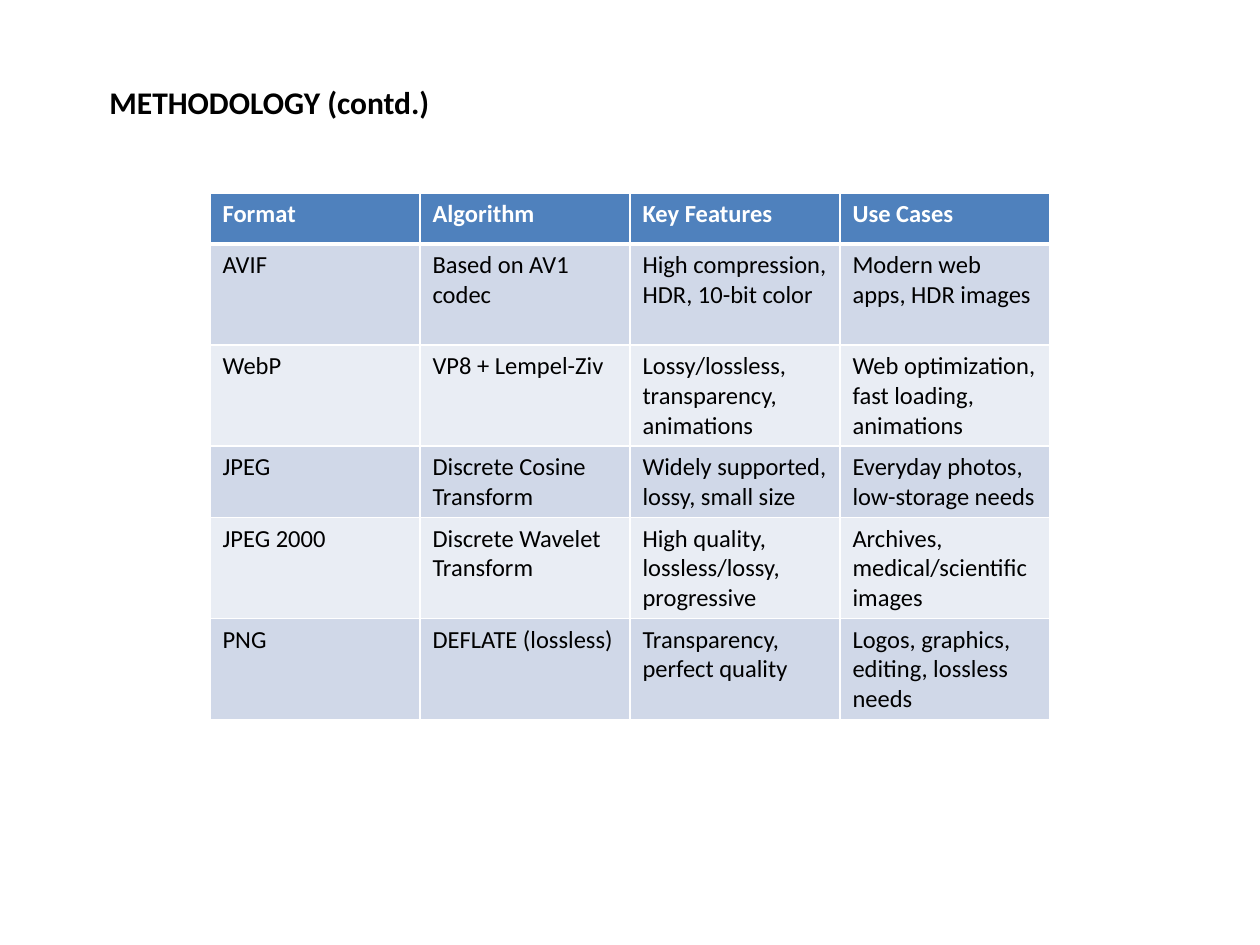
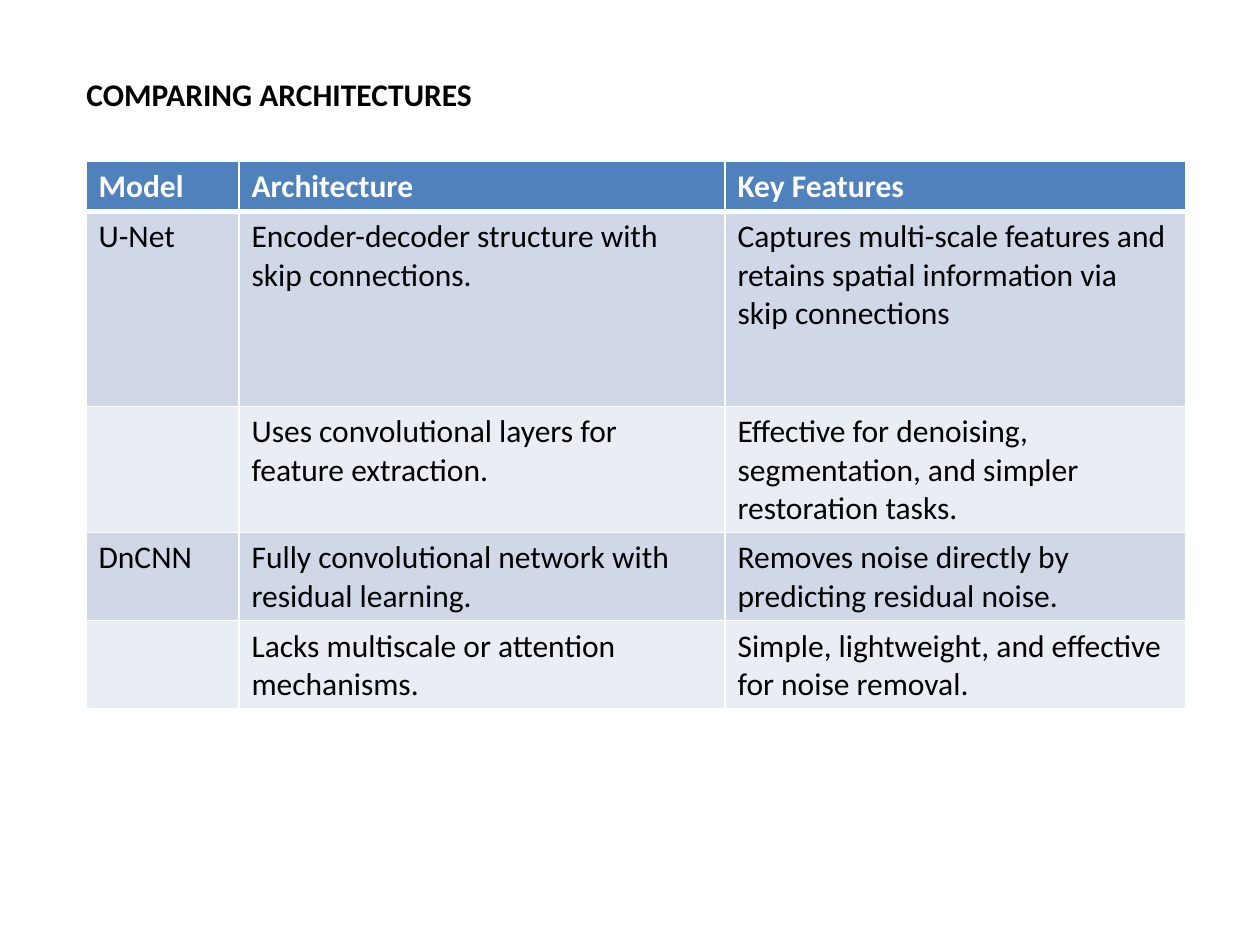
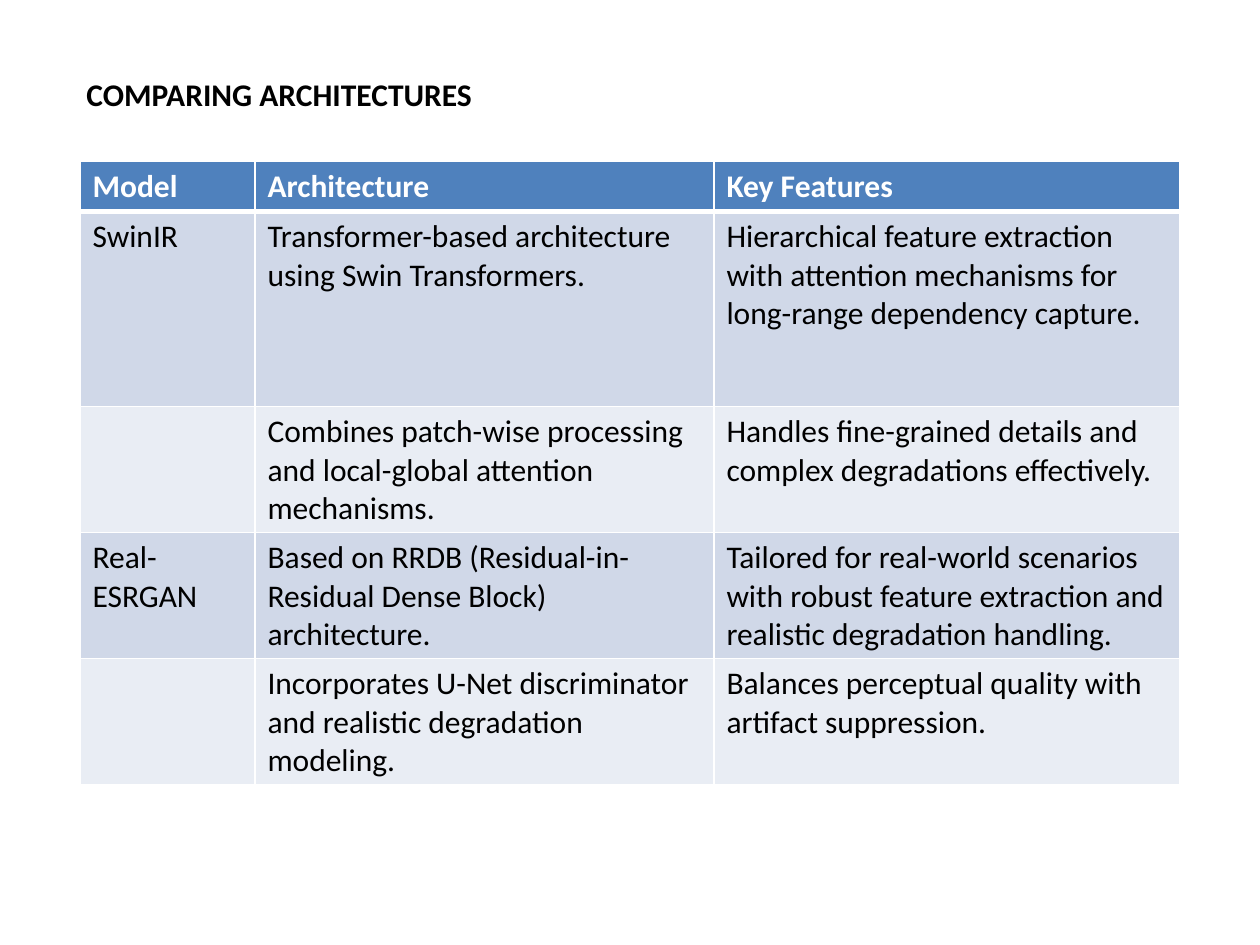
from lxml import etree
from pptx import Presentation
from pptx.dml.color import RGBColor
from pptx.enum.text import MSO_AUTO_SIZE
from pptx.oxml.ns import qn
from pptx.util import Inches, Pt

PX_PER_INCH = 126
FONT = "Calibri"
COLORS = {
    "title": "000000",
    "header": "4F81BD",
    "header_text": "FFFFFF",
    "body_text": "000000",
    "odd_row": "D0D8E8",
    "even_row": "E9EDF4",
    "border": "FFFFFF",
}
THIN, THICK = 1, 3

FORMATS = [
    ["Format", "Algorithm", "Key Features", "Use Cases"],
    ["AVIF", "Based on AV1 codec", "High compression, HDR, 10-bit color",
     "Modern web apps, HDR images"],
    ["WebP", "VP8 + Lempel-Ziv", "Lossy/lossless, transparency, animations",
     "Web optimization, fast loading, animations"],
    ["JPEG", "Discrete Cosine Transform", "Widely supported, lossy, small size",
     "Everyday photos, low-storage needs"],
    ["JPEG 2000", "Discrete Wavelet Transform", "High quality, lossless/lossy, progressive",
     "Archives, medical/scientific images"],
    ["PNG", "DEFLATE (lossless)", "Transparency, perfect quality",
     "Logos, graphics, editing, lossless needs"],
]
MODEL_HEADER = ["Model", "Architecture", "Key Features"]
CNN_MODELS = [
    MODEL_HEADER,
    ["U-Net", "Encoder-decoder structure with skip connections.",
     "Captures multi-scale features and retains spatial information via skip connections"],
    ["", "Uses convolutional layers for feature extraction.",
     "Effective for denoising, segmentation, and simpler restoration tasks."],
    ["DnCNN", "Fully convolutional network with residual learning.",
     "Removes noise directly by predicting residual noise."],
    ["", "Lacks multiscale or attention mechanisms.",
     "Simple, lightweight, and effective for noise removal."],
]
ADVANCED_MODELS = [
    MODEL_HEADER,
    ["SwinIR", "Transformer-based architecture using Swin Transformers.",
     "Hierarchical feature extraction with attention mechanisms for long-range dependency capture."],
    ["", "Combines patch-wise processing and local-global attention mechanisms.",
     "Handles fine-grained details and complex degradations effectively."],
    ["Real-ESRGAN", "Based on RRDB (Residual-in-Residual Dense Block) architecture.",
     "Tailored for real-world scenarios with robust feature extraction and realistic "
     "degradation handling."],
    ["", "Incorporates U-Net discriminator and realistic degradation modeling.",
     "Balances perceptual quality with artifact suppression."],
]


def px(length):
    return round(Inches(length / PX_PER_INCH))


def rgb(name):
    return RGBColor.from_string(COLORS[name])


def write(frame, text, *, size, color, bold=False):
    paragraph = frame.paragraphs[0]
    if text:
        paragraph.add_run().text = text
    for font in [paragraph.font, *(run.font for run in paragraph.runs)]:
        font.name = FONT
        font.size = Pt(size)
        font.bold = bold
        font.color.rgb = rgb(color)


def add_title(slide, box, text):
    title = slide.shapes.add_textbox(*map(px, box)).text_frame
    title.word_wrap = False
    title.auto_size = MSO_AUTO_SIZE.SHAPE_TO_FIT_TEXT
    write(title, text, size=18, color="title", bold=True)


def set_borders(cell, top, bottom):
    properties = cell._tc.get_or_add_tcPr()
    for side, width in (("L", THIN), ("R", THIN), ("T", top), ("B", bottom)):
        line = etree.SubElement(properties, qn(f"a:ln{side}"), w=str(Pt(width)))
        fill = etree.SubElement(line, qn("a:solidFill"))
        etree.SubElement(fill, qn("a:srgbClr"), val=COLORS["border"])


def add_comparison(slide, left, top, rows, *, widths, heights, size):
    """Add a table with a header row and banded body rows."""
    frame = slide.shapes.add_table(len(rows), len(widths), px(left), px(top),
                                   px(sum(widths)), px(sum(heights)))
    table = frame.table
    for column, width in zip(table.columns, widths):
        column.width = px(width)
    for index, (row, height, texts) in enumerate(zip(table.rows, heights, rows)):
        row.height = px(height)
        is_header = index == 0
        band = "header" if is_header else "odd_row" if index % 2 else "even_row"
        for cell, text in zip(row.cells, texts):
            set_borders(cell, top=THICK if index == 1 else THIN,
                        bottom=THICK if is_header else THIN)
            cell.fill.solid()
            cell.fill.fore_color.rgb = rgb(band)
            write(cell.text_frame, text, size=size, bold=is_header,
                  color="header_text" if is_header else "body_text")


def add_slide(deck):
    slide = deck.slides.add_slide(deck.slide_layouts[6])
    return slide


def build_formats(deck):
    slide = add_slide(deck)
    add_title(slide, (97, 77, 348, 50), "METHODOLOGY (contd.)")
    add_comparison(slide, 210, 193, FORMATS, widths=[210] * 4,
                   heights=[51, 101, 101, 71, 101, 101], size=14)


def build_models(deck, left, rows, widths, heights):
    slide = add_slide(deck)
    add_title(slide, (74, 69, 415, 50), "COMPARING ARCHITECTURES")
    add_comparison(slide, left, 161, rows, widths=widths, heights=heights, size=18)


def main():
    deck = Presentation()
    deck.slide_width, deck.slide_height = px(1260), px(945)
    build_formats(deck)
    build_models(deck, 86, CNN_MODELS, [153, 486, 461], [49, 195, 126, 88, 88])
    build_models(deck, 80, ADVANCED_MODELS, [175, 459, 466], [49, 195, 126, 126, 126])
    deck.save("out.pptx")


if __name__ == "__main__":
    main()
